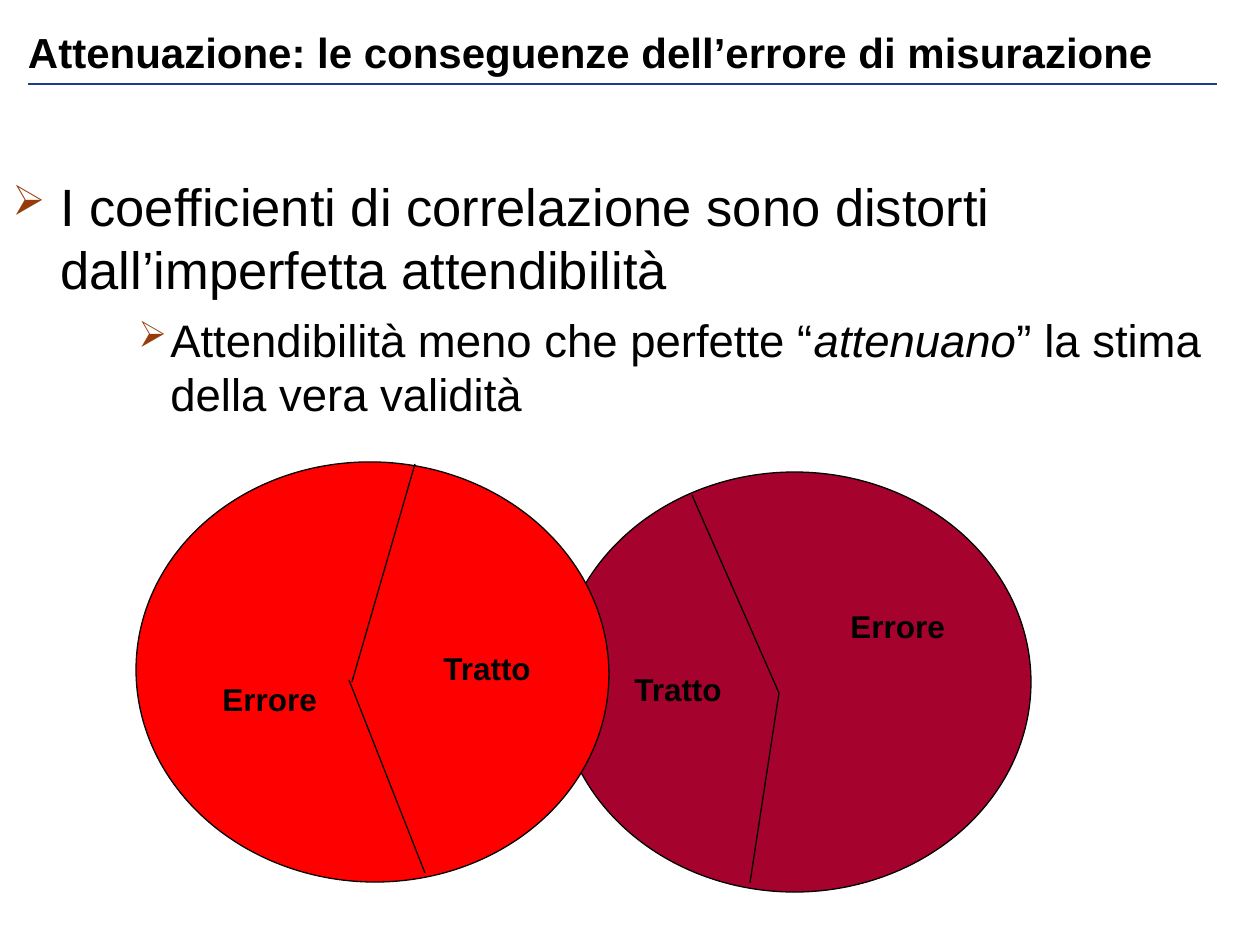
from dataclasses import dataclass

from lxml import etree
from pptx import Presentation
from pptx import util as u
from pptx.dml.color import RGBColor
from pptx.enum import shapes, text
from pptx.oxml.ns import qn

SCALE = 914400 // 126


@dataclass(frozen=True)
class Theme:
    """Colours, font and type sizes of the slide."""
    font: str = "Arial"
    ink: str = "000000"
    rule: str = "1E3F82"
    bullet: str = "953C0A"
    first_test: str = "FF0000"
    second_test: str = "A5032D"
    title: int = 24
    point: int = 30
    subpoint: int = 26
    label: int = 18
    outline: float = 0.75


THEME = Theme()


def px(*lengths):
    """Turn pixel lengths into EMU."""
    return [u.Emu(length * SCALE) for length in lengths]


def style(paragraph, size, bold=False):
    """Set the font of a whole paragraph."""
    font = paragraph.font
    font.name, font.size, font.bold = THEME.font, u.Pt(size), bold
    font.color.rgb = RGBColor.from_string(THEME.ink)


def add_line(slide, start, end, color=THEME.ink, width=THEME.outline):
    """Draw a straight line without a shadow."""
    line = slide.shapes.add_connector(
        shapes.MSO_CONNECTOR.STRAIGHT, *px(*start, *end))
    line.line.color.rgb = RGBColor.from_string(color)
    line.line.width = u.Pt(width)
    etree.SubElement(line._element.spPr, qn("a:effectLst"))


def add_test(slide, left, top, color, rotation, dividers):
    """Draw a test as an ellipse split by two lines."""
    test = slide.shapes.add_shape(
        shapes.MSO_SHAPE.OVAL, *px(left, top, 473, 420))
    test.rotation = rotation
    test.shadow.inherit = False
    test.fill.solid()
    test.fill.fore_color.rgb = RGBColor.from_string(color)
    test.line.color.rgb = RGBColor.from_string(THEME.ink)
    test.line.width = u.Pt(THEME.outline)
    for start, end in dividers:
        add_line(slide, start, end)


def add_title(slide, wording):
    """Add the heading, resting on the rule."""
    frame = slide.shapes.add_textbox(*px(28, 1, 1129, 76)).text_frame
    frame.word_wrap = True
    frame.vertical_anchor = text.MSO_ANCHOR.BOTTOM
    frame.margin_left = frame.margin_right = 0
    frame.margin_top = frame.margin_bottom = 0
    heading = frame.paragraphs[0]
    heading.text = wording
    style(heading, THEME.title, bold=True)


def add_label(slide, wording, left, top, width):
    """Add a bold label for one part of a test."""
    frame = slide.shapes.add_textbox(*px(left, top, width, 50)).text_frame
    frame.word_wrap = False
    frame.auto_size = text.MSO_AUTO_SIZE.SHAPE_TO_FIT_TEXT
    label = frame.paragraphs[0]
    label.text = wording
    style(label, THEME.label, bold=True)


def format_point(paragraph, size, margin, hanging):
    """Give a paragraph its arrow bullet, hanging indent and font."""
    properties = paragraph._p.get_or_add_pPr()
    properties.set("marL", str(margin * SCALE))
    properties.set("indent", str(-hanging * SCALE))
    color = etree.SubElement(properties, qn("a:buClr"))
    etree.SubElement(color, qn("a:srgbClr"), val=THEME.bullet)
    etree.SubElement(properties, qn("a:buSzPct"), val="80000")
    etree.SubElement(properties, qn("a:buChar"), char="➢")
    style(paragraph, size)


def add_points(slide):
    """Add the claim and its explanation."""
    frame = slide.shapes.add_textbox(*px(0, 168, 1260, 718)).text_frame
    frame.word_wrap = True
    claim = frame.paragraphs[0]
    claim.text = ("I coefficienti di correlazione sono distorti "
                  "dall’imperfetta attendibilità")
    format_point(claim, THEME.point, margin=48, hanging=48)
    detail = frame.add_paragraph()
    detail.level = 2
    for wording, italic in (("Attendibilità meno che perfette “", False),
                            ("attenuano", True),
                            ("” la stima della vera validità", False)):
        run = detail.add_run()
        run.text = wording
        run.font.italic = italic
    format_point(detail, THEME.subpoint, margin=158, hanging=32)
    detail.space_before = u.Pt(6.5)


def main():
    """Build and save the slide."""
    deck = Presentation()
    deck.slide_width, deck.slide_height = px(1260, 945)
    slide = deck.slides.add_slide(deck.slide_layouts[6])
    add_line(slide, (28, 84), (1217, 84), THEME.rule, 1)
    add_title(slide, "Attenuazione: le conseguenze dell’errore di misurazione")
    add_test(slide, 558, 472, THEME.second_test, 0,
             [((779, 693), (692, 495)), ((779, 693), (750, 883))])
    add_test(slide, 136, 462, THEME.first_test, 2.6,
             [((352, 682), (415, 464)), ((349, 680), (425, 873))])
    for wording, left, top, width in (("Tratto", 431, 643, 115),
                                      ("Tratto", 622, 664, 115),
                                      ("Errore", 210, 674, 120),
                                      ("Errore", 838, 601, 120)):
        add_label(slide, wording, left, top, width)
    add_points(slide)
    deck.save("out.pptx")


if __name__ == "__main__":
    main()
